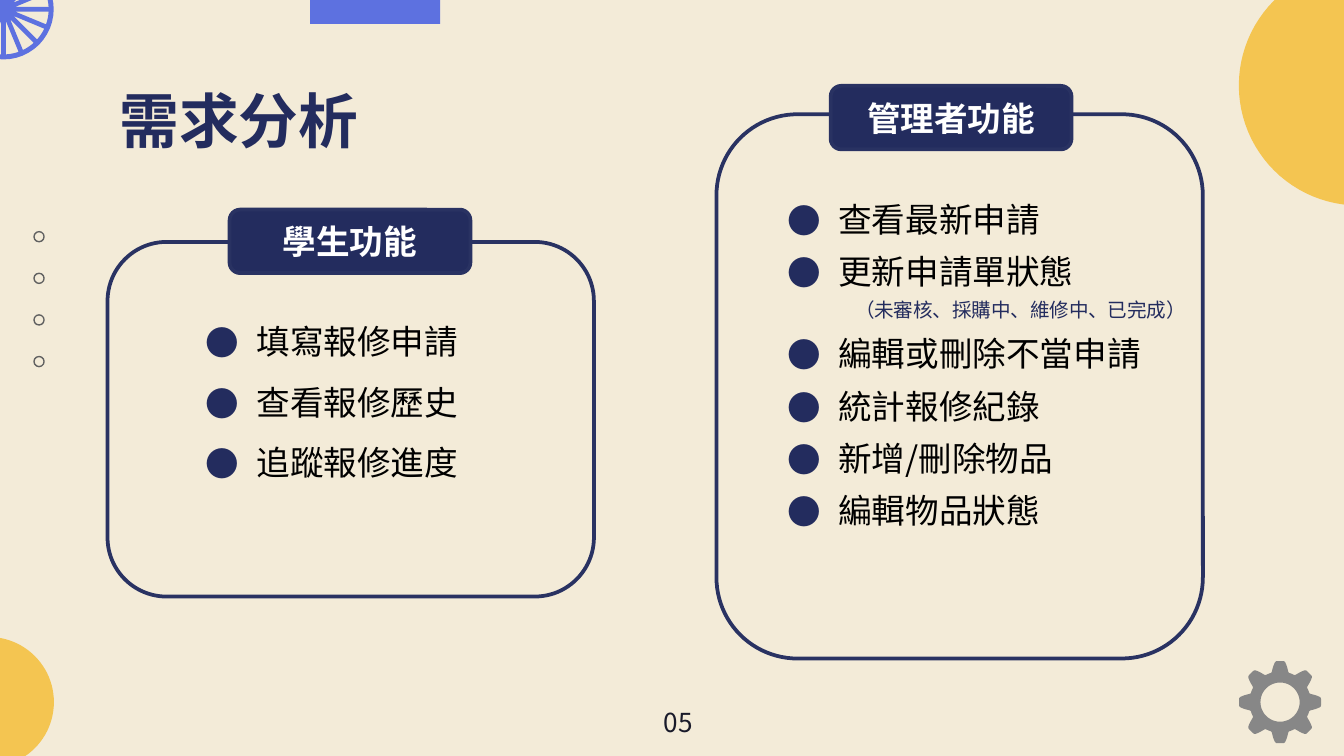
from dataclasses import dataclass
from math import asin, cos, pi, sin
from typing import Optional

from lxml.etree import SubElement
from pptx import Presentation
from pptx.dml.color import RGBColor
from pptx.enum.shapes import MSO_SHAPE as Preset
from pptx.enum.text import MSO_ANCHOR as Anchor, PP_ALIGN as Align
from pptx.oxml.ns import qn
from pptx.util import Pt

FONT = "Noto Sans CJK SC"
NAVY, EDGE, BLUE, YELLOW = "232C5E", "293262", "5D71E0", "F4C551"
Point = tuple[float, float]


@dataclass(frozen=True)
class Box:
    left: float
    top: float
    width: float
    height: float

    def lengths(self) -> list[Pt]:
        return [Pt(v) for v in (self.left, self.top, self.width, self.height)]


@dataclass(frozen=True)
class Item:
    text: str
    bullet: bool = True


@dataclass(frozen=True)
class Panel:
    heading: str
    frame: Box
    tab: Box
    body: Box
    pitch: float
    items: list[Item]


PANELS = [
    Panel("學生功能", Box(57.6, 129.6, 260.6, 190), Box(123, 112.3, 129, 34),
          Box(94.3, 154, 187.2, 137.5), 32.4,
          [Item("填寫報修申請"), Item("查看報修歷史"), Item("追蹤報修進度")]),
    Panel("管理者功能", Box(383.8, 61.2, 260.6, 291.6), Box(445, 46, 129, 34),
          Box(406, 92.9, 252, 230.4), 28,
          [Item("查看最新申請"), Item("更新申請單狀態"),
           Item("（未審核、採購中、維修中、已完成）", bullet=False),
           Item("編輯或刪除不當申請"), Item("統計報修紀錄"),
           Item("新增/刪除物品"), Item("編輯物品狀態")]),
]


def rgb(code: str) -> RGBColor:
    return RGBColor.from_string(code)


def paint(shape, fill: Optional[str] = None, line: Optional[str] = None,
          weight: float = 1) -> None:
    shape.shadow.inherit = False
    if fill:
        shape.fill.solid()
        shape.fill.fore_color.rgb = rgb(fill)
    else:
        shape.fill.background()
    if line:
        shape.line.color.rgb = rgb(line)
        shape.line.width = Pt(weight)
    else:
        shape.line.fill.background()


def draw_preset(slide, preset, box: Box, **look):
    shape = slide.shapes.add_shape(preset, *box.lengths())
    paint(shape, **look)
    return shape


def arc(center: Point, radius: float, start: float, end: float,
        steps: int = 48) -> list[Point]:
    angles = [start + (end - start) * i / steps for i in range(steps + 1)]
    return [(center[0] + radius * cos(a), center[1] + radius * sin(a))
            for a in angles]


def draw_outline(slide, contours: list[list[Point]], fill: str) -> None:
    """Fill the first contour; the others become holes in it."""
    scaled = [[(Pt(x), Pt(y)) for x, y in contour] for contour in contours]
    builder = slide.shapes.build_freeform(*scaled[0][0])
    for index, contour in enumerate(scaled):
        if index:
            builder.move_to(*contour[0])
        builder.add_line_segments(contour[1:], close=True)
    paint(builder.convert_to_shape(), fill=fill)


def draw_gear(slide, center: Point, teeth: int = 8) -> None:
    steps = teeth * 24
    rim = []
    for i in range(steps):
        angle = 2 * pi * i / steps
        wave = max(-1, min(1, 1.6 * cos(teeth * angle)))
        radius = 19.2 + 2.8 * wave
        rim.append((center[0] + radius * cos(angle),
                    center[1] + radius * sin(angle)))
    draw_outline(slide, [rim, arc(center, 10.5, 2 * pi, 0)], "878787")


def draw_wheel(slide, center: Point, spokes: int = 16) -> None:
    half_spoke, inner, outer = 1.25, 24.2, 26.9
    half_gap = pi / spokes
    half_arc = half_gap - asin(half_spoke / inner)
    contours = [arc(center, outer, 0, 2 * pi)]
    for i in range(spokes):
        middle = (2 * i + 1) * half_gap
        apex = arc(center, half_spoke / sin(half_gap), middle, middle, 1)[:1]
        contours.append(
            apex + arc(center, inner, middle + half_arc, middle - half_arc, 8))
    draw_outline(slide, contours, BLUE)


def write(paragraph, text: str, *, size: float, color: str,
          bold: bool = False, align=Align.LEFT, pitch: float = 0,
          before: float = 0, margin: float = 0, bullet: bool = False) -> None:
    paragraph.alignment = align
    paragraph.space_before = Pt(before)
    if pitch:
        paragraph.line_spacing = Pt(pitch)
    run = paragraph.add_run()
    run.text = text
    run.font.size, run.font.bold, run.font.name = Pt(size), bold, FONT
    run.font.color.rgb = rgb(color)
    SubElement(run.font._element, qn("a:ea"), typeface=FONT)
    props = paragraph._p.get_or_add_pPr()
    props.set("marL", str(Pt(margin)))
    props.set("indent", str(Pt(-27 if bullet else 0)))
    if bullet:
        bullet_color = SubElement(props, qn("a:buClr"))
        SubElement(bullet_color, qn("a:srgbClr"), val=NAVY)
        SubElement(props, qn("a:buFont"), typeface=FONT)
        SubElement(props, qn("a:buChar"), char="●")


def add_text_frame(slide, box: Box, inset: float = 7.2, wrap: bool = True):
    frame = slide.shapes.add_textbox(*box.lengths()).text_frame
    frame.word_wrap = wrap
    frame.margin_top = frame.margin_bottom = Pt(inset)
    return frame


def draw_panel(slide, panel: Panel) -> None:
    body = add_text_frame(slide, panel.body)
    for i, item in enumerate(panel.items):
        paragraph = body.add_paragraph() if i else body.paragraphs[0]
        before = 0 if i else 2
        if item.bullet:
            write(paragraph, item.text, size=18, color="000000", margin=36,
                  pitch=panel.pitch, before=before, bullet=True)
        else:
            write(paragraph, item.text, size=10.5, color=NAVY, margin=45,
                  pitch=16, before=before)
    draw_preset(slide, Preset.ROUNDED_RECTANGLE, panel.frame,
                line=EDGE, weight=2)
    tab = draw_preset(slide, Preset.ROUNDED_RECTANGLE, panel.tab,
                      fill=NAVY, line=EDGE, weight=2)
    tab.text_frame.vertical_anchor = Anchor.MIDDLE
    write(tab.text_frame.paragraphs[0], panel.heading, size=18,
          color="FFFFFF", bold=True, align=Align.CENTER)


def draw_decoration(slide) -> None:
    draw_gear(slide, (685.8, 376.2))
    draw_outline(slide, [arc((728, 45.8), 64.3, pi / 2, 3 * pi / 2)], YELLOW)
    draw_outline(slide, [arc((-6, 376.2), 34.9, -pi / 2, pi / 2)], YELLOW)
    for i in range(4):
        draw_preset(slide, Preset.OVAL, Box(18.2, 124.1 + 22.3 * i, 5.4, 5.4),
                    line="606060", weight=0.75)
    draw_preset(slide, Preset.RECTANGLE, Box(166.2, -19.4, 69.6, 32.2),
                fill=BLUE)
    draw_wheel(slide, (1.9, 5))


def main() -> None:
    deck = Presentation()
    deck.slide_width, deck.slide_height = Pt(720), Pt(405)
    slide = deck.slides.add_slide(deck.slide_layouts[6])
    slide.background.fill.solid()
    slide.background.fill.fore_color.rgb = rgb("F3EBD8")
    draw_decoration(slide)
    title = add_text_frame(slide, Box(56.9, 35.3, 607, 45.4))
    write(title.paragraphs[0], "需求分析", size=32, color=NAVY, bold=True,
          pitch=41)
    for panel in PANELS:
        draw_panel(slide, panel)
    page = add_text_frame(slide, Box(347.8, 375.1, 31, 24.5), 3.6, wrap=False)
    write(page.paragraphs[0], "05", size=14, color="191A2A",
          align=Align.CENTER)
    deck.save("out.pptx")


if __name__ == "__main__":
    main()
